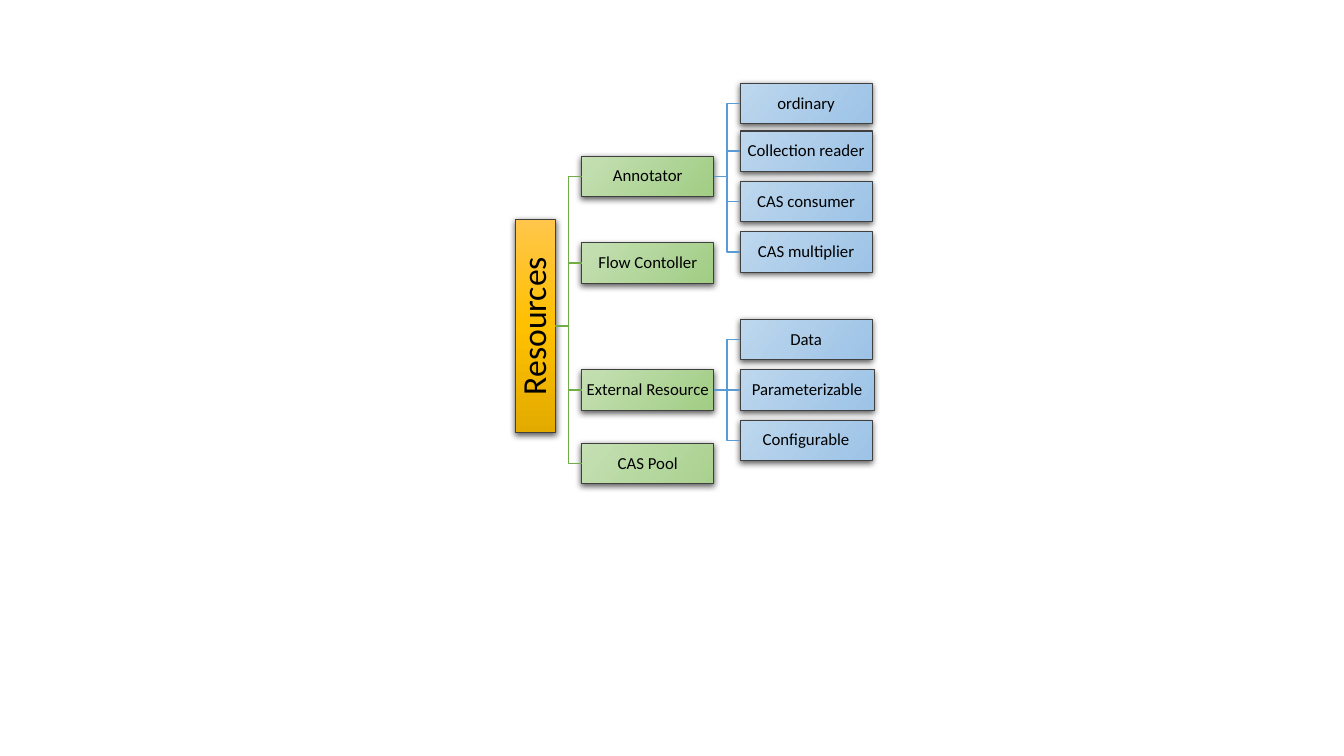
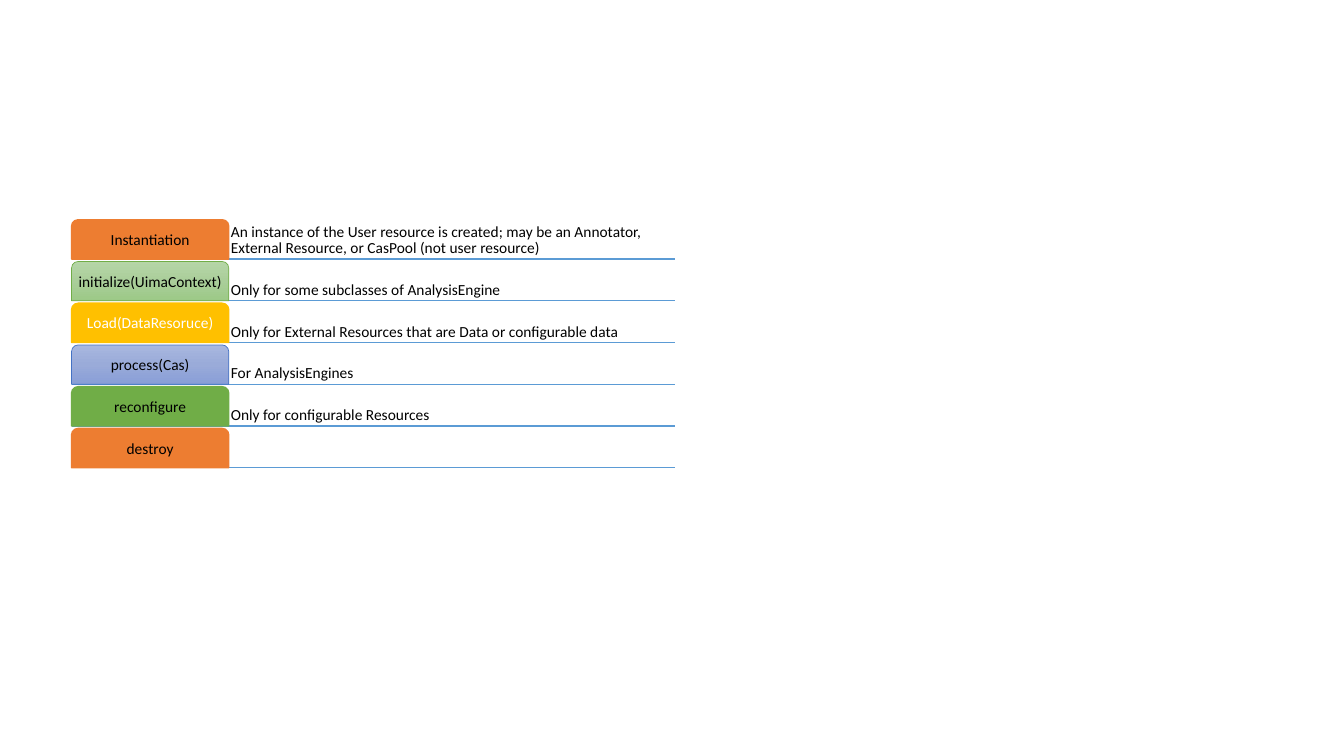
import lxml.etree
import pptx
import pptx.dml.color
import pptx.enum.shapes
import pptx.enum.text
import pptx.oxml.ns
import pptx.shapes.connector
import pptx.util

inch = pptx.util.Inches
rgb = pptx.dml.color.RGBColor.from_string
qn = pptx.oxml.ns.qn
SHAPE = pptx.enum.shapes.MSO_SHAPE
CONNECTOR = pptx.enum.shapes.MSO_CONNECTOR
ALIGN = pptx.enum.text.PP_ALIGN
ANCHOR = pptx.enum.text.MSO_ANCHOR

BLACK, WHITE, OUTLINE = "000000", "FFFFFF", "404040"
BLUE, GREEN, ORANGE, GOLD, INDIGO = "5B9BD5", "70AD47", "ED7D31", "FFC000", "4472C4"
GOLD_BLEND = ["FFC64B", GOLD, "E3AB00"]
GREEN_BLEND = ["C5E0B4", "A1CD84"]
POOL_BLEND = ["C5E0B4", "A9D18E"]
BLUE_BLEND = ["BDD7EE", "9DC3E6"]


def paint(shape, hues, outline, width, angle=90, shadow=False):
    """Fill with one hue or evenly spaced gradient hues, angle clockwise."""
    if len(hues) == 1:
        shape.fill.solid()
        shape.fill.fore_color.rgb = rgb(hues[0])
    else:
        shape.fill.gradient()
        shape.fill.gradient_angle = 360 - angle
        stops = shape._element.spPr.find(".//" + qn("a:gsLst"))
        stops.clear()
        for index, hue in enumerate(hues):
            position = str(100000 * index // (len(hues) - 1))
            stop = lxml.etree.SubElement(stops, qn("a:gs"), pos=position)
            lxml.etree.SubElement(stop, qn("a:srgbClr"), val=hue)
    shape.line.color.rgb = rgb(outline)
    shape.line.width = pptx.util.Pt(width)
    shape.shadow.inherit = False
    if shadow:
        effects = shape._element.spPr.find(qn("a:effectLst"))
        outer = lxml.etree.SubElement(
            effects, qn("a:outerShdw"), blurRad=str(pptx.util.Pt(4.5)),
            dist=str(pptx.util.Pt(1.5)), dir="5400000", algn="ctr", rotWithShape="0")
        tint = lxml.etree.SubElement(outer, qn("a:srgbClr"), val=BLACK)
        lxml.etree.SubElement(tint, qn("a:alpha"), val="63000")


def write(shape, text, size, hue=BLACK, align=ALIGN.CENTER, anchor=ANCHOR.MIDDLE, inset=0.01):
    frame = shape.text_frame
    frame.word_wrap = True
    frame.vertical_anchor = anchor
    frame.margin_left = frame.margin_right = inch(inset)
    frame.margin_top = frame.margin_bottom = inch(inset)
    para = frame.paragraphs[0]
    para.text = text
    para.alignment = align
    para.line_spacing = 0.9
    para.font.name = "Calibri"
    para.font.size = pptx.util.Pt(size)
    para.font.color.rgb = rgb(hue)


deck = pptx.Presentation()
deck.slide_width, deck.slide_height = inch(13.33), inch(7.5)
blank = deck.slide_layouts[6]

# Resource tree: three columns, one gap apart
page = deck.slides.add_slide(blank)
BOX_WIDTH, BOX_HEIGHT, GAP = 1.31, 0.4, 0.26
ROOT_LEFT = 5.11
KIND_LEFT = ROOT_LEFT + BOX_HEIGHT + GAP
LEAF_LEFT = KIND_LEFT + BOX_WIDTH + GAP

root = page.shapes.add_shape(
    SHAPE.RECTANGLE, inch(ROOT_LEFT), inch(2.18), inch(BOX_HEIGHT), inch(2.11))
paint(root, GOLD_BLEND, OUTLINE, 0.75, shadow=True)
write(root, "Resources", 24, inset=0.02)
root.text_frame._txBody.bodyPr.set("vert", "vert270")

# Each kind: name, top, gradient, leaves as (name, top, width)
kinds = [
    ("Annotator", 1.55, GREEN_BLEND, [
        ("ordinary", 0.83, BOX_WIDTH), ("Collection reader", 1.3, BOX_WIDTH),
        ("CAS consumer", 1.8, BOX_WIDTH), ("CAS multiplier", 2.3, BOX_WIDTH)]),
    ("Flow Contoller", 2.41, GREEN_BLEND, []),
    ("External Resource", 3.67, GREEN_BLEND, [
        ("Data", 3.17, BOX_WIDTH), ("Parameterizable", 3.67, 1.33),
        ("Configurable", 4.17, BOX_WIDTH)]),
    ("CAS Pool", 4.4, POOL_BLEND, []),
]
links = []
for kind_name, kind_top, kind_blend, leaves in kinds:
    kind = None
    nodes = [(kind_name, kind_top, BOX_WIDTH, KIND_LEFT, kind_blend, GREEN)]
    nodes += [(*leaf, LEAF_LEFT, BLUE_BLEND, BLUE) for leaf in leaves]
    for name, top, width, left, blend, link_hue in nodes:
        box = page.shapes.add_shape(
            SHAPE.RECTANGLE, inch(left), inch(top), inch(width), inch(BOX_HEIGHT))
        paint(box, blend, OUTLINE, 0.75, angle=40, shadow=True)
        write(box, name, 12)
        links.append((kind or root, box, link_hue))
        kind = kind or box

for parent, child, hue in links:
    level = parent.top + parent.height // 2 == child.top + child.height // 2
    link = page.shapes.add_connector(
        CONNECTOR.STRAIGHT if level else CONNECTOR.ELBOW, 0, 0, 0, 0)
    link.begin_connect(parent, 3)
    link.end_connect(child, 1)
    link.line.color.rgb = rgb(hue)

# Life cycle: a tab, its note and a rule below on every row
page = deck.slides.add_slide(blank)
FIRST_TOP, ROW_PITCH, ROW_HEIGHT = 2.18, 0.414, 0.39
TAB_LEFT, TAB_WIDTH, NOTE_WIDTH = 0.71, 1.56, 4.43
NOTE_LEFT = TAB_LEFT + TAB_WIDTH
steps = [
    ("Instantiation", [ORANGE], ORANGE, 1, BLACK,
     "An instance of the User resource is created; may be an Annotator, "
     "External Resource, or CasPool (not user resource)"),
    ("initialize(UimaContext)", ["B5D5A7", "AACE9A", "9CC987"], GREEN, 0.5, BLACK,
     "Only for some subclasses of AnalysisEngine"),
    ("Load(DataResoruce)", [GOLD], GOLD, 1, WHITE,
     "Only for External Resources that are Data or configurable data"),
    ("process(Cas)", ["A8B7DF", "9AABD9", "889ED7"], INDIGO, 0.5, BLACK,
     "For AnalysisEngines"),
    ("reconfigure", [GREEN], GREEN, 1, BLACK, "Only for configurable Resources"),
    ("destroy", [ORANGE], ORANGE, 1, BLACK, None),
]
for row, (name, hues, outline, width, text_hue, note_text) in enumerate(steps):
    top = FIRST_TOP + row * ROW_PITCH
    bottom = top + ROW_HEIGHT
    rule = page.shapes.add_connector(
        CONNECTOR.STRAIGHT, inch(TAB_LEFT), inch(bottom),
        inch(NOTE_LEFT + NOTE_WIDTH), inch(bottom))
    rule.line.color.rgb = rgb(BLUE)
    tab = page.shapes.add_shape(
        SHAPE.ROUND_2_SAME_RECTANGLE, inch(TAB_LEFT), inch(top),
        inch(TAB_WIDTH), inch(ROW_HEIGHT))
    paint(tab, hues, outline, width)
    write(tab, name, 11, text_hue, inset=0.02)
    if note_text:
        note = page.shapes.add_textbox(
            inch(NOTE_LEFT), inch(top), inch(NOTE_WIDTH), inch(ROW_HEIGHT))
        write(note, note_text, 11, align=ALIGN.LEFT, anchor=ANCHOR.BOTTOM, inset=0.02)

# Every connector is a plain one-point line
for page in deck.slides:
    for shape in page.shapes:
        if isinstance(shape, pptx.shapes.connector.Connector):
            shape.line.width = pptx.util.Pt(1)
            lxml.etree.SubElement(shape._element.spPr, qn("a:effectLst"))

deck.save("out.pptx")
